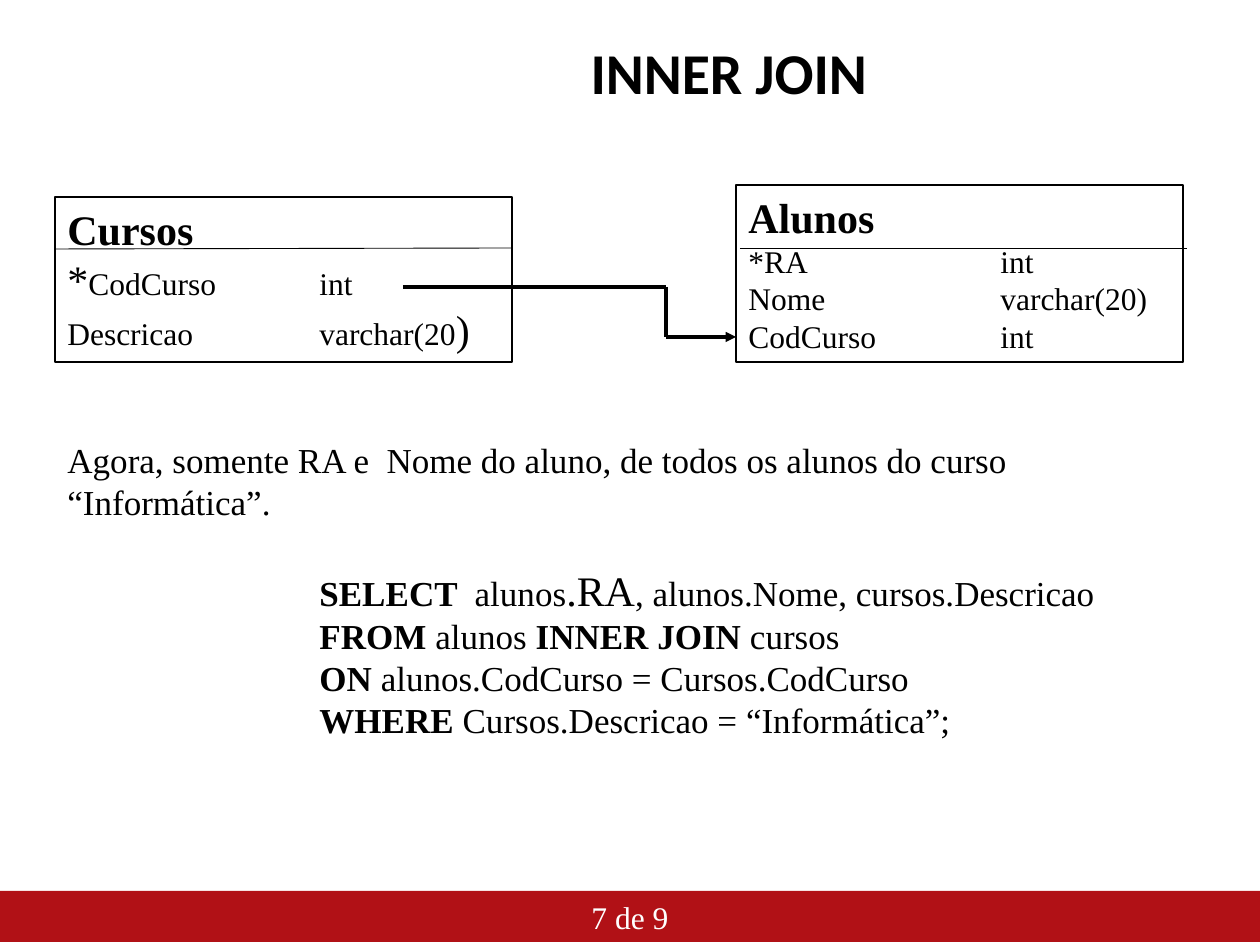
from dataclasses import dataclass

from lxml.etree import SubElement
from pptx import Presentation
from pptx.dml.color import RGBColor
from pptx.enum.shapes import MSO_CONNECTOR, MSO_SHAPE
from pptx.enum.text import MSO_ANCHOR, PP_ALIGN
from pptx.oxml.ns import qn
from pptx.util import Pt

SCALE = 914400 // 126


@dataclass(frozen=True)
class Theme:
    """Colours, fonts and type sizes of the slide."""
    ink: RGBColor = RGBColor(0, 0, 0)
    paper: RGBColor = RGBColor(255, 255, 255)
    band: RGBColor = RGBColor(0xB1, 0x11, 0x16)
    heading_font: str = "Calibri"
    body_font: str = "Times New Roman"
    title: int = 33
    large: int = 24
    query: int = 20
    field: int = 18


THEME = Theme()


def px(*lengths):
    """Turn picture pixels into EMU."""
    return [round(length * SCALE) for length in lengths]


def apply(target, values):
    """Set each attribute named in a dict of format values."""
    for name, value in values.items():
        setattr(target, name, value)


def write(frame, lines, anchor=MSO_ANCHOR.TOP, font=THEME.body_font, color=THEME.ink, **layout):
    """Fill a frame with lines made of (text, size, bold) runs."""
    apply(frame, {"word_wrap": True, "vertical_anchor": anchor})
    for index, line in enumerate(lines):
        paragraph = frame.paragraphs[0] if index == 0 else frame.add_paragraph()
        apply(paragraph, {"alignment": PP_ALIGN.LEFT, **layout})
        for text, size, bold in line:
            run = paragraph.add_run()
            run.text = text
            apply(run.font, {"name": font, "size": Pt(size), "bold": bold})
            run.font.color.rgb = color
    return frame.paragraphs


def draw_box(slide, box, fill=None, border=None):
    """Add a plain rectangle with an optional fill and border."""
    rectangle = slide.shapes.add_shape(MSO_SHAPE.RECTANGLE, *px(*box))
    rectangle.shadow.inherit = False
    for part, color in ((rectangle.fill, fill), (rectangle.line.fill, border)):
        if color is None:
            part.background()
        else:
            part.solid()
            part.fore_color.rgb = color
    if border is not None:
        rectangle.line.width = Pt(0.75)
    return rectangle


def draw_line(slide, start, end, width, arrow=False):
    """Add a straight line, with an arrowhead at its end if asked."""
    line = slide.shapes.add_connector(MSO_CONNECTOR.STRAIGHT, *px(*start, *end))
    line.line.color.rgb = THEME.ink
    line.line.width = Pt(width)
    if arrow:
        SubElement(line.line._get_or_add_ln(), qn("a:tailEnd"), type="triangle")
    SubElement(line._element.spPr, qn("a:effectLst"))


def add_title(slide, box, text):
    """Place the slide heading."""
    frame = slide.shapes.add_textbox(*px(*box)).text_frame
    write(frame, [[(text, THEME.title, True)]], MSO_ANCHOR.MIDDLE,
          THEME.heading_font, alignment=PP_ALIGN.CENTER, line_spacing=0.9)


def add_entity(slide, box, name, fields, rule):
    """Place a database table box with a rule below its name."""
    left, top = box[:2]
    frame = draw_box(slide, box, border=THEME.ink).text_frame
    for paragraph in write(frame, [[(name, THEME.large, True)], *fields]):
        stops = SubElement(paragraph._p.get_or_add_pPr(), qn("a:tabLst"))
        SubElement(stops, qn("a:tab"), pos=str(px(252)[0]), algn="l")
    start, end = [(left + x, top + y) for x, y in rule]
    draw_line(slide, start, end, 0.5)


def add_key_link(slide, start, end, bend):
    """Draw the stepped arrow from primary key to foreign key."""
    corners = [start, (bend, start[1]), (bend, end[1]), end]
    for first, second in zip(corners, corners[1:]):
        draw_line(slide, first, second, 1.75, arrow=second == end)


def add_query(slide, box, question, statement):
    """Place the question and the indented SQL statement."""
    frame = slide.shapes.add_textbox(*px(*box)).text_frame
    paragraphs = write(frame, [[(question, THEME.query, False)], *statement])
    for paragraph in paragraphs[1:]:
        properties = paragraph._p.get_or_add_pPr()
        properties.set("marL", str(px(252)[0]))
        properties.set("indent", "0")
    paragraphs[1].space_before = Pt(24)


def add_footer(slide, box, text):
    """Place the coloured page band."""
    frame = draw_box(slide, box, fill=THEME.band).text_frame
    write(frame, [[(text, THEME.field, False)]], MSO_ANCHOR.MIDDLE,
          color=THEME.paper, alignment=PP_ALIGN.CENTER)


def build():
    """Build and save the slide."""
    deck = Presentation()
    deck.slide_width, deck.slide_height = px(1260, 945)
    slide = deck.slides.add_slide(deck.slide_layouts[6])
    field, large, query = THEME.field, THEME.large, THEME.query

    add_footer(slide, (0, 891, 1260, 51), "7 de 9")
    add_title(slide, (223, 26, 1012, 100), "INNER JOIN")
    add_entity(slide, (55, 197, 457, 165), "Cursos", [
        [("*", large, False), ("CodCurso\tint", field, False)],
        [("Descricao\tvarchar(20", field, False), (")", large, False)],
    ], ((1, 52), (457, 51)))
    add_entity(slide, (736, 185, 447, 177), "Alunos", [
        [(text, field, False)]
        for text in ("*RA\tint", "Nome\tvarchar(20)", "CodCurso\tint")
    ], ((4, 63), (451, 63)))
    add_key_link(slide, (403, 287), (736, 337), 666)
    add_query(
        slide, (55, 432, 1131, 318),
        "Agora, somente RA e  Nome do aluno, de todos os alunos do curso “Informática”.",
        [
            [("SELECT  ", query, True), ("alunos", query, False), (".RA", large, False),
             (", alunos.Nome, cursos.Descricao", query, False)],
            [("FROM", query, True), (" alunos ", query, False),
             ("INNER JOIN ", query, True), ("cursos", query, False)],
            [("ON ", query, True), ("alunos.CodCurso = Cursos.CodCurso", query, False)],
            [("WHERE ", query, True), ("Cursos.Descricao = “Informática”;", query, False)],
        ])
    deck.save("out.pptx")


build()
